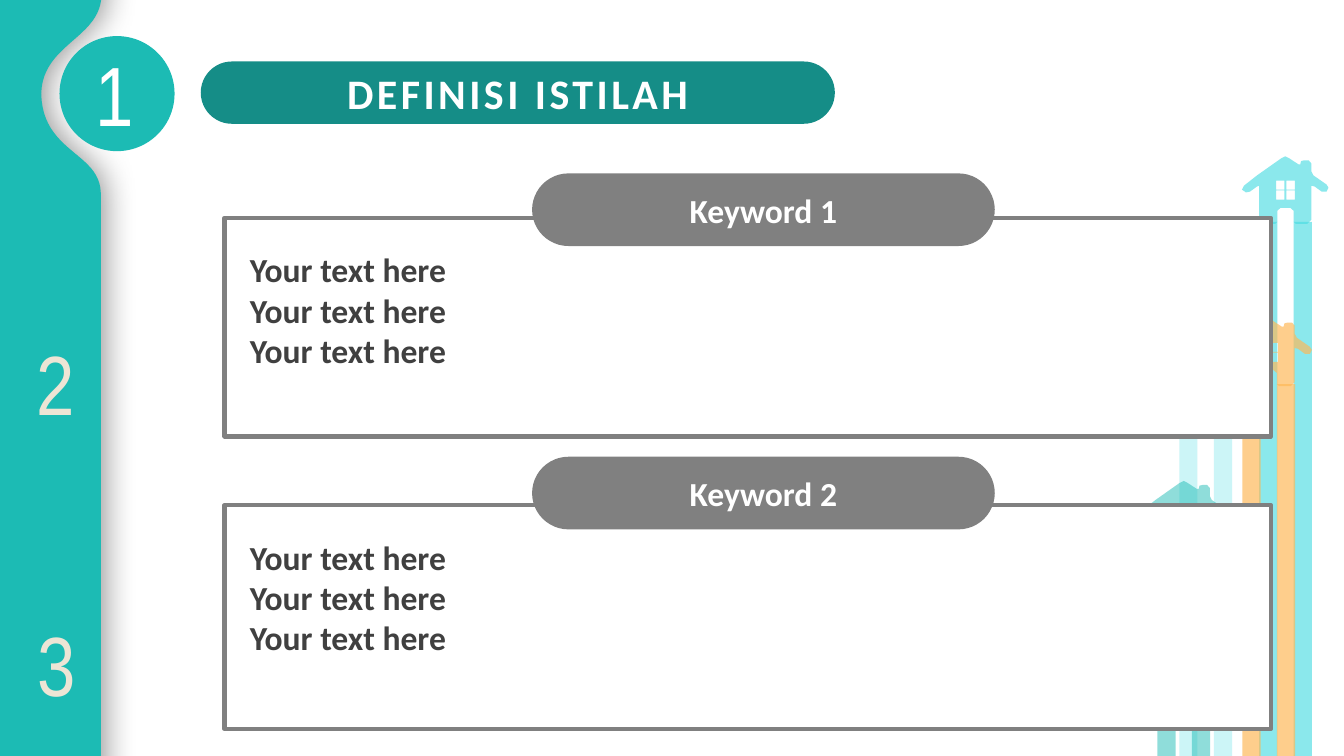
from dataclasses import dataclass

from lxml.etree import SubElement
from pptx import Presentation
from pptx.dml.color import RGBColor
from pptx.enum.shapes import MSO_SHAPE as Shape
from pptx.enum.text import MSO_ANCHOR as Anchor, MSO_AUTO_SIZE as AutoSize, PP_ALIGN as Align
from pptx.oxml.ns import qn
from pptx.util import Cm, Pt


@dataclass(frozen=True)
class Theme:
    """Colours, fonts and type sizes of the slide."""
    teal: str = "1CBBB4"
    dark_teal: str = "158D87"
    aqua: str = "48DCE2"
    pale_aqua: str = "9FEDF0"
    orange: str = "FEB856"
    grey: str = "808080"
    ink: str = "404040"
    cream: str = "EDE5D5"
    white: str = "FFFFFF"
    number_font: str = "Arial Narrow"
    body_font: str = "Calibri"
    number_size: int = 60
    title_size: int = 30
    body_size: int = 24


THEME = Theme()
ROOF = [(1.09, 0), (1.19, 0.05), (1.42, 0.2), (1.47, 0.2), (1.49, 0.12), (1.57, 0.1),
        (1.68, 0.1), (1.75, 0.18), (1.75, 0.38), (1.8, 0.48), (2.13, 0.71), (2.18, 0.79),
        (2.13, 0.89), (2.01, 0.89), (1.83, 0.76), (1.75, 0.74), (1.75, 1.6), (1.65, 1.7),
        (1.35, 1.7), (1.3, 1.65), (1.3, 1.37), (1.22, 1.3), (0.97, 1.3), (0.89, 1.37),
        (0.89, 1.65), (0.84, 1.7), (0.53, 1.7), (0.43, 1.6), (0.43, 0.74), (0.38, 0.76),
        (0.2, 0.89), (0.1, 0.91), (0, 0.84), (0.05, 0.74), (0.38, 0.48), (0.99, 0.05)]
PANES = [[(x, y), (x, y + 0.23), (x + 0.21, y + 0.23), (x + 0.21, y)]
         for x in (0.86, 1.12) for y in (0.61, 0.86)]


def paint(shape, fill, opacity=100, outline=None):
    """Set a shape's fill, opacity and outline and remove its shadow."""
    shape.fill.solid()
    shape.fill.fore_color.rgb = RGBColor.from_string(fill)
    if opacity < 100:
        color = shape.element.spPr.find(qn("a:solidFill")).find(qn("a:srgbClr"))
        SubElement(color, qn("a:alpha"), val=str(opacity * 1000))
    if outline:
        shape.line.color.rgb = RGBColor.from_string(outline)
        shape.line.width = Pt(3)
    else:
        shape.line.fill.background()
    shape.shadow.inherit = False
    return shape


def block(shapes, kind, place, fill, **look):
    """Add a preset shape at a place given in centimetres."""
    return paint(shapes.add_shape(kind, *map(Cm, place)), fill, **look)


def outline_shape(shapes, contours, fill, **look):
    """Add a freeform made of closed contours given in centimetres."""
    contours = [[(Cm(x), Cm(y)) for x, y in contour] for contour in contours]
    builder = shapes.build_freeform(*contours[0][0])
    for index, (start, *others) in enumerate(contours):
        if index:
            builder.move_to(*start)
        builder.add_line_segments(others, close=True)
    return paint(builder.convert_to_shape(), fill, **look)


def write(shape, text, color, align=Align.LEFT, frame_format=None, spacing=0, **font_format):
    """Fill a shape with text, one paragraph per line, in one format."""
    frame = shape.text_frame
    frame.text = text
    for name, value in (frame_format or {}).items():
        setattr(frame, name, value)
    for paragraph in frame.paragraphs:
        paragraph.alignment = align
        for run in paragraph.runs:
            for name, value in font_format.items():
                setattr(run.font, name, value)
            run.font.color.rgb = RGBColor.from_string(color)
            if spacing:
                run.font._element.set("spc", str(spacing))


def curve(start, first, second, end, steps=24):
    """Return points along a cubic Bézier curve."""
    def blend(a, b, c, d, t):
        return a * (1 - t) ** 3 + 3 * b * t * (1 - t) ** 2 + 3 * c * t * t * (1 - t) + d * t ** 3
    return [tuple(blend(*axis, step / steps) for axis in zip(start, first, second, end))
            for step in range(steps + 1)]


def sidebar(shapes):
    """Draw the teal side band with its notch and soft shadow."""
    notch = curve((2.56, -0.15), (2.56, 0.97), (1.07, 1.09), (1.04, 2.36))
    notch += curve((1.04, 2.36), (1.07, 3.84), (2.51, 3.84), (2.54, 4.85))[1:]
    band = outline_shape(shapes, [[(0, -2), (2.54, -2), *notch, (2.54, 21), (0, 21)]], THEME.teal)
    shadow = SubElement(band.element.spPr.find(qn("a:effectLst")), qn("a:outerShdw"),
                        blurRad=str(Pt(23)), dist=str(Pt(3)), dir="0",
                        algn="l", rotWithShape="0")
    color = SubElement(shadow, qn("a:srgbClr"), val="000000")
    SubElement(color, qn("a:alpha"), val="40000")


def number(shapes, digit, left, top, color):
    """Add a large step number."""
    label = shapes.add_textbox(*map(Cm, (left, top, 1.68, 2.82)))
    write(label, digit, color, name=THEME.number_font, size=Pt(THEME.number_size),
          frame_format={"word_wrap": False, "auto_size": AutoSize.SHAPE_TO_FIT_TEXT})


def tower(slide, left, top, fill, opacity, roofed=True):
    """Draw two tall legs, with a house on top if roofed."""
    shapes = slide.shapes.add_group_shape().shapes
    if roofed:
        contours = [[(left + x, top + y) for x, y in part] for part in (ROOF, *PANES)]
        outline_shape(shapes, contours, fill, opacity=opacity)
    legs_top = top + 1.65
    for offset in (0.43, 1.3):
        block(shapes, Shape.RECTANGLE, (left + offset, legs_top, 0.46, 19.45 - legs_top),
              fill, opacity=opacity)


def pill(shapes, text, place, fill, **text_format):
    """Add a fully rounded bar with centred bold white text."""
    bar = block(shapes, Shape.ROUNDED_RECTANGLE, place, fill)
    bar.adjustments[0] = 0.5
    write(bar, text, THEME.white, Align.CENTER, {"vertical_anchor": Anchor.MIDDLE},
          name=THEME.body_font, bold=True, **text_format)


def keyword_panel(shapes, keyword, tab_top, box_top, box_height):
    """Add a framed definition box with its keyword tab."""
    block(shapes, Shape.RECTANGLE, (5.66, box_top, 26.37, box_height), THEME.white,
          outline=THEME.grey)
    pill(shapes, keyword, (13.41, tab_top, 11.66, 1.83), THEME.grey, size=Pt(THEME.body_size))
    definition = shapes.add_textbox(*map(Cm, (6.05, box_top + 0.67, 25.91, 4.37)))
    write(definition, "\n".join(["Your text here"] * 3), THEME.ink,
          frame_format={"word_wrap": True, "auto_size": AutoSize.SHAPE_TO_FIT_TEXT},
          name=THEME.body_font, size=Pt(THEME.body_size), bold=True)


def main():
    """Build and save the slide."""
    deck = Presentation()
    deck.slide_width, deck.slide_height = Cm(33.87), Cm(19.05)
    slide = deck.slides.add_slide(deck.slide_layouts[6])
    shapes = slide.shapes

    sidebar(shapes)
    block(shapes, Shape.OVAL, (1.5, 0.91, 2.9, 2.9), THEME.teal)
    number(shapes, "1", 2.16, 0.94, THEME.white)
    number(shapes, "2", 0.66, 8.23, THEME.cream)
    number(shapes, "3", 0.69, 15.32, THEME.cream)

    tower(slide, 29.29, 6.12, THEME.pale_aqua, 53, roofed=False)
    tower(slide, 31.3, 3.94, THEME.aqua, 63)
    tower(slide, 30.88, 8.03, THEME.orange, 68)
    tower(slide, 28.74, 12.12, THEME.teal, 49)

    pill(shapes, "DEFINISI ISTILAH", (5.06, 1.55, 15.98, 1.57), THEME.dark_teal,
         size=Pt(THEME.title_size), spacing=250)
    keyword_panel(shapes, "Keyword 1", 4.37, 5.49, 5.51)
    keyword_panel(shapes, "Keyword 2", 11.51, 12.73, 5.64)
    deck.save("out.pptx")


if __name__ == "__main__":
    main()
